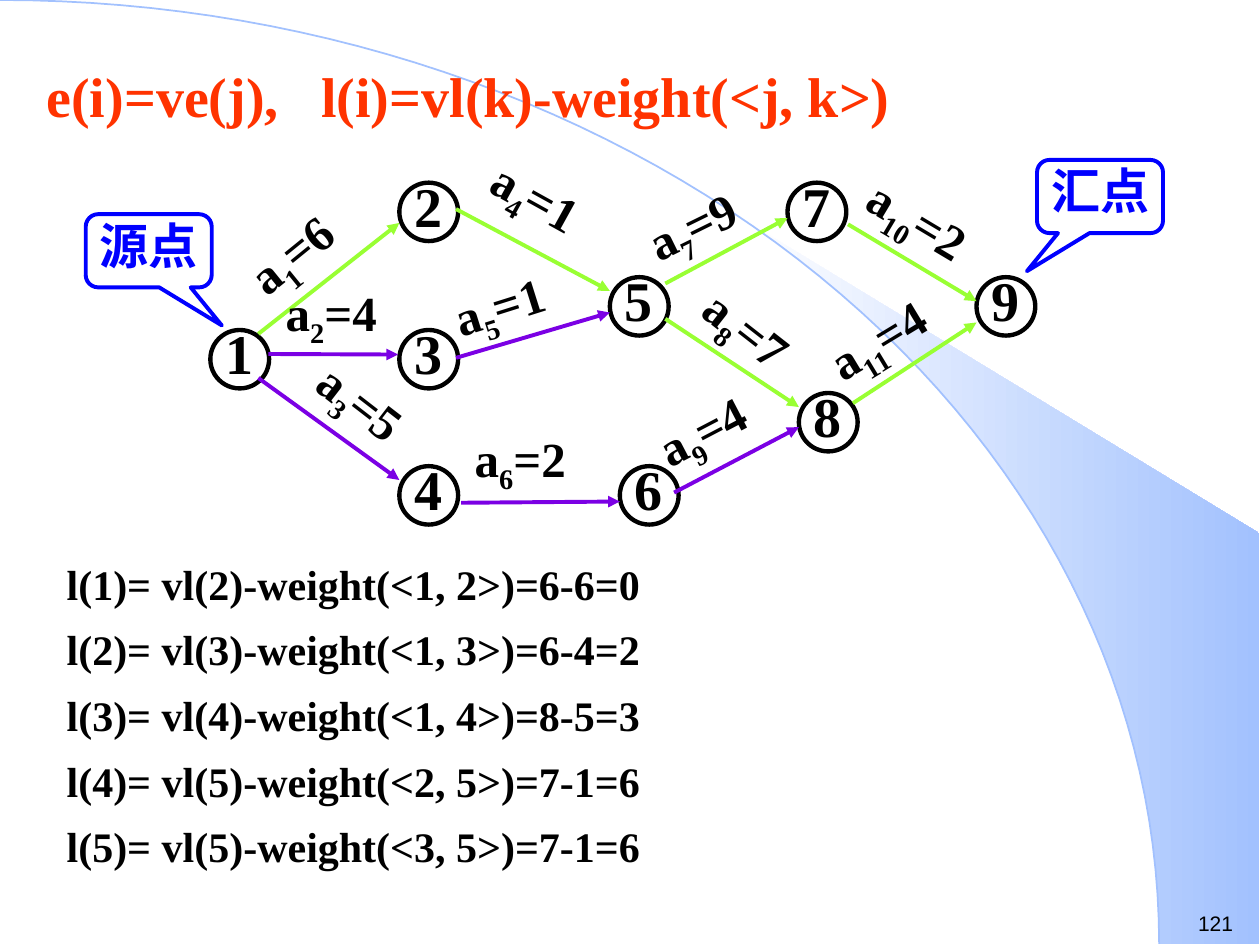
import math
import pptx
import pptx.util
import pptx.dml.color
import pptx.enum.shapes
import pptx.enum.text
import pptx.oxml
import pptx.oxml.ns

Pt = pptx.util.Pt
RGB = pptx.dml.color.RGBColor
SHAPE = pptx.enum.shapes.MSO_SHAPE
ALIGN = pptx.enum.text.PP_ALIGN

BLACK = RGB(0x00, 0x00, 0x00)
WHITE = RGB(0xFF, 0xFF, 0xFF)
RED = RGB(0xFF, 0x33, 0x00)
BLUE = RGB(0x00, 0x00, 0xFF)
SKY = RGB(0xA2, 0xC1, 0xFE)
LIME = RGB(0x99, 0xFF, 0x33)
PURPLE = RGB(0x7B, 0x00, 0xE4)

WIDE, HIGH = 720, 540
ARC_W, ARC_H = 662.4, 539.3

# number of the node: left, top
NODES = {
    1: (120.2, 188.6), 2: (228.2, 104.4), 3: (228.2, 188.6),
    4: (228.2, 266.4), 5: (348.5, 158.4), 6: (354.2, 266.4),
    7: (450, 104.4), 8: (456.5, 224.6), 9: (558, 158.4),
}

# weight, colour, from, to, label left, top and width, label turn
EDGES = [
    (6, LIME, (147.6, 190.8), (228.2, 127.4), (132.5, 118.1, 84.2), -39.1),
    (4, PURPLE, (153.4, 202.3), (227.5, 202.6), (156.2, 157.7, 102.2), 0),
    (5, PURPLE, (147.6, 216), (228.2, 274.3), (168.5, 219.6, 102.2), 37.7),
    (1, LIME, (260.6, 119.5), (348.5, 166.3), (270, 100.1, 102.2), 28.9),
    (1, PURPLE, (260.6, 204.5), (348.5, 178.6), (252, 148.3, 102.2), -17.6),
    (2, PURPLE, (263.5, 287.3), (354.2, 286.6), (264.2, 241.2, 102.2), 0),
    (9, LIME, (380.2, 162), (450, 124.6), (361.4, 100.1, 102.2), -26.2),
    (7, LIME, (380.2, 182.2), (456.5, 232.6), (388.8, 177.8, 102.2), 38),
    (4, PURPLE, (385.2, 281.5), (456.5, 244.1), (367.2, 216.7, 102.2), -27.6),
    (2, LIME, (484.6, 128.2), (558, 172.1), (484.6, 111.6, 102.2), 30.9),
    (4, LIME, (487.4, 230.4), (558, 184.3), (463.7, 165.6, 102.2), -31.2),
]

ROWS = [
    "l(1)= vl(2)-weight(<1, 2>)=6-6=0",
    "l(2)= vl(3)-weight(<1, 3>)=6-4=2",
    "l(3)= vl(4)-weight(<1, 4>)=8-5=3",
    "l(4)= vl(5)-weight(<2, 5>)=7-1=6",
    "l(5)= vl(5)-weight(<3, 5>)=7-1=6",
]


def curve(start, stop, steps):
    """Points on the big quarter ellipse between two angles in degrees."""
    for step in range(steps + 1):
        turn = math.radians(start + (stop - start) * step / steps)
        yield ARC_W * math.sin(turn), ARC_H * (1 - math.cos(turn))


class Board:
    font = "Times New Roman"

    def __init__(self, slide):
        self.slide = slide
        self.shapes = slide.shapes

    def run(self, par, text, size, color, font=None, sub=False):
        run = par.add_run()
        run.text = text
        run.font.name = font or self.font
        run.font.size = Pt(size)
        run.font.bold = font is None
        run.font.color.rgb = color
        if sub:
            run.font._element.set("baseline", "-25000")

    def title(self, text, size, color, stop, box):
        shape = self.shapes.title
        shape._element.getparent().append(shape._element)  # bring to front
        shape.left, shape.top, shape.width, shape.height = map(Pt, box)
        frame = shape.text_frame
        frame.word_wrap = True
        frame.auto_size = pptx.enum.text.MSO_AUTO_SIZE.NONE
        frame.vertical_anchor = pptx.enum.text.MSO_ANCHOR.TOP
        par = frame.paragraphs[0]
        par.alignment = ALIGN.JUSTIFY
        par._p.get_or_add_pPr().append(pptx.oxml.parse_xml(
            f'<a:tabLst {pptx.oxml.ns.nsdecls("a")}>'
            f'<a:tab pos="{Pt(stop)}" algn="l"/></a:tabLst>'))
        self.run(par, text, size, color)

    def text(self, box, size, color, *runs, align=ALIGN.LEFT, font=None, turn=0):
        shape = self.shapes.add_textbox(*map(Pt, box))
        shape.rotation = turn
        shape.text_frame.word_wrap = True
        par = shape.text_frame.paragraphs[0]
        par.alignment = align
        for spot, part in enumerate(runs):
            self.run(par, part, size, color, font, sub=spot == 1)

    def rows(self, box, size, lines):
        frame = self.shapes.add_textbox(*map(Pt, box)).text_frame
        frame.word_wrap = True
        for spot, line in enumerate(lines):
            par = frame.add_paragraph() if spot else frame.paragraphs[0]
            par.line_spacing = 1.2
            par.space_before = Pt(3 if spot else 0)
            self.run(par, line, size, BLACK)

    def shape(self, kind, box, color, width):
        shape = self.shapes.add_shape(kind, *map(Pt, box))
        shape.shadow.inherit = False
        shape.fill.background()
        shape.line.color.rgb = color
        shape.line.width = Pt(width)
        return shape

    def node(self, name, left, top):
        self.shape(SHAPE.OVAL, (left, top, 33.6, 33.4), BLACK, 2.5)
        self.text((left + 1.5, top - 10, 24.5, 46), 32, BLACK, name,
                  align=ALIGN.CENTER)

    def arrow(self, start, end, color):
        line = self.shapes.add_connector(
            pptx.enum.shapes.MSO_CONNECTOR.STRAIGHT, *map(Pt, start + end))
        line.line.color.rgb = color
        line.line.width = Pt(2.25)
        space = pptx.oxml.ns.nsdecls("a")
        props = line._element.spPr
        props.get_or_add_ln().append(
            pptx.oxml.parse_xml(f'<a:tailEnd {space} type="triangle"/>'))
        props.append(pptx.oxml.parse_xml(f"<a:effectLst {space}/>"))

    def callout(self, text, left, top, tip):
        self.text((left - 6, top - 3, 84.2, 41), 28, BLUE, text,
                  align=ALIGN.CENTER)
        shape = self.shape(SHAPE.ROUNDED_RECTANGULAR_CALLOUT,
                           (left, top, 72, 41.8), BLUE, 2.25)
        for spot, value in enumerate((tip, 1.02, 0.17)):
            shape.adjustments[spot] = value

    def outline(self, points, close):
        spots = [(Pt(x), Pt(y)) for x, y in points]
        build = self.shapes.build_freeform(*spots[0])
        build.add_line_segments(spots[1:], close=close)
        shape = build.convert_to_shape()
        shape.shadow.inherit = False
        return shape


def main():
    deck = pptx.Presentation()
    deck.slide_width, deck.slide_height = Pt(WIDE), Pt(HIGH)
    board = Board(deck.slides.add_slide(deck.slide_layouts[5]))

    # Backdrop: shaded wedge beside the arc's lower end, then the arc
    wedge = board.outline(
        [*curve(39.8, 90, 24), (719.3, ARC_H), (719.3, 304.6)], True)
    wedge.line.fill.background()
    wedge.fill.gradient()
    wedge.fill.gradient_angle = 0
    for stop, color in zip(wedge.fill.gradient_stops, (WHITE, SKY)):
        stop.color.rgb = color
    arc = board.outline(curve(0, 90, 60), False)
    arc.fill.background()
    arc.line.color.rgb = SKY
    arc.line.width = Pt(1)

    # Page number, results and title
    board.text((677.5, 517, 42.5, 21.6), 12, BLACK, "121", font="Arial")
    board.rows((31, 309.6, 623.5, 187.2), 24, ROWS)
    board.title("e(i)=ve(j),\tl(i)=vl(k)-weight(<j, k>)", 32, RED, 157,
                (19.4, 31.7, 510.5, 46))

    # Graph
    for name, spot in NODES.items():
        board.node(str(name), *spot)
    for count, (weight, color, start, end, spot, turn) in enumerate(EDGES, 1):
        board.arrow(start, end, color)
        board.text((*spot, 45.4), 28, BLACK,
                   "a", str(count), f"={weight}", turn=turn)

    # Sink and source
    board.callout("汇点", 592.6, 91.4, -0.58)
    board.callout("源点", 49, 122.4, 0.58)

    deck.save("out.pptx")


if __name__ == "__main__":
    main()
